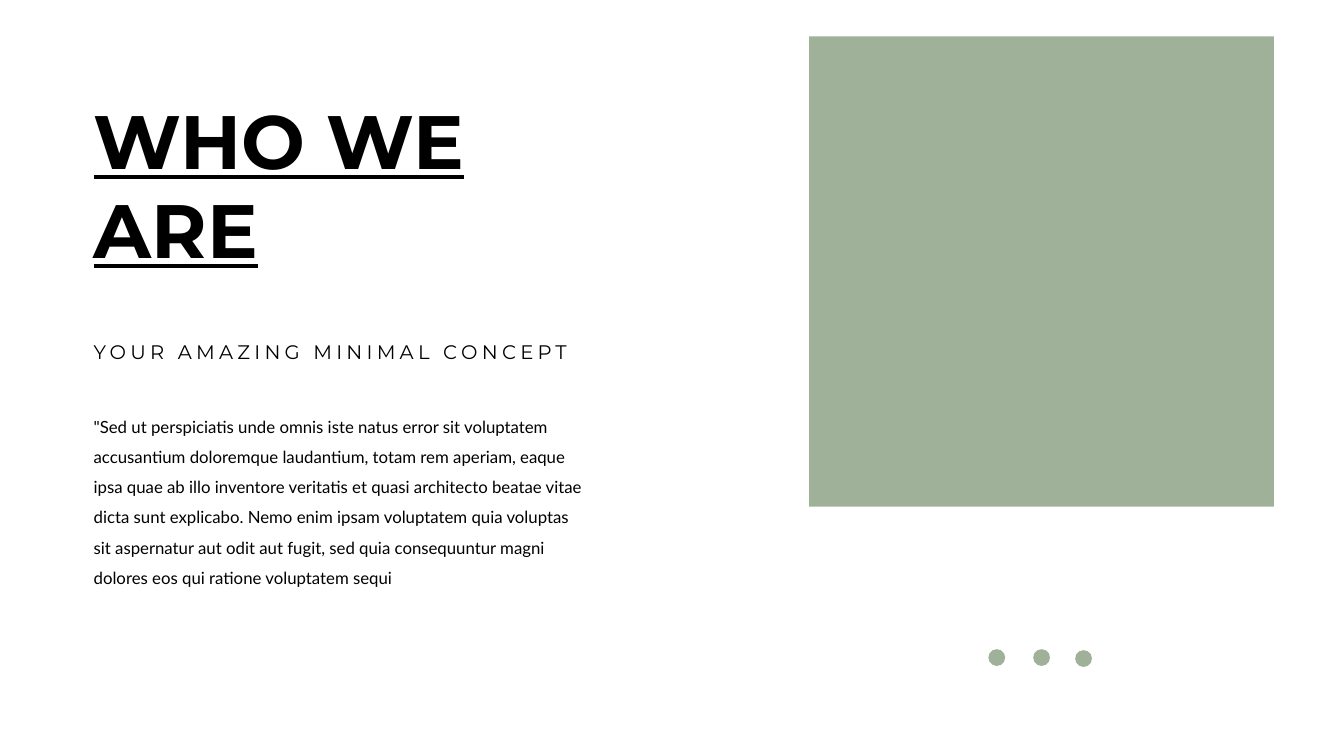
from dataclasses import dataclass

from pptx import Presentation
from pptx.dml.color import RGBColor
from pptx.enum import shapes, text
from pptx.util import Pt


@dataclass(frozen=True)
class Theme:
    sage: RGBColor = RGBColor(0xA0, 0xB1, 0x9A)
    ink: RGBColor = RGBColor(0, 0, 0)
    heading_font: str = "Montserrat"
    body_font: str = "Lato"
    title_size: int = 54
    subtitle_size: int = 14
    body_size: int = 12


class SlideBuilder:
    def __init__(self, deck, theme):
        self.theme = theme
        self.page = deck.slides.add_slide(deck.slide_layouts[5])

    def shape(self, kind, left, top, width, height):
        shape = self.page.shapes.add_shape(
            kind, Pt(left), Pt(top), Pt(width), Pt(height))
        shape.shadow.inherit = False
        shape.fill.solid()
        shape.fill.fore_color.rgb = self.theme.sage
        shape.line.fill.background()

    def span(self, para, words, font, size, bold=False, underline=False):
        span = para.add_run()
        span.text = words
        span.font.name = font
        span.font.size = Pt(size)
        span.font.bold = bold
        span.font.underline = underline
        span.font.color.rgb = self.theme.ink
        return span

    def title(self, lines, left, top, width, height):
        box = self.page.shapes.title
        box.left, box.top = Pt(left), Pt(top)
        box.width, box.height = Pt(width), Pt(height)
        frame = box.text_frame
        frame.word_wrap = True
        frame.auto_size = text.MSO_AUTO_SIZE.NONE
        frame.vertical_anchor = text.MSO_ANCHOR.MIDDLE
        para = frame.paragraphs[0]
        para.alignment = text.PP_ALIGN.LEFT
        para.line_spacing = 0.98
        for index, line in enumerate(lines):
            if index:
                para.add_line_break()
            self.span(para, line, self.theme.heading_font,
                      self.theme.title_size, bold=True, underline=True)

    def text(self, words, left, top, width, height, font, size, tracking=0):
        box = self.page.shapes.add_textbox(
            Pt(left), Pt(top), Pt(width), Pt(height))
        box.text_frame.word_wrap = True
        para = box.text_frame.paragraphs[0]
        para.line_spacing = 1.5
        span = self.span(para, words, font, size)
        if tracking:
            span.font._element.set("spc", str(tracking * 100))


def main():
    deck = Presentation()
    deck.slide_width, deck.slide_height = Pt(960), Pt(540)
    theme = Theme()
    slide = SlideBuilder(deck, theme)
    margin = 59.8

    slide.shape(shapes.MSO_SHAPE.RECTANGLE, 578, 26, 332, 336)
    slide.title(["WHO WE", "ARE"], margin, 63.4, 447, 141)
    slide.text(
        '"Sed ut perspiciatis unde omnis iste natus error sit voluptatem '
        "accusantium doloremque laudantium, totam rem aperiam, eaque ipsa "
        "quae ab illo inventore veritatis et quasi architecto beatae vitae "
        "dicta sunt explicabo. Nemo enim ipsam voluptatem quia voluptas sit "
        "aspernatur aut odit aut fugit, sed quia consequuntur magni dolores "
        "eos qui ratione voluptatem sequi",
        margin, 286.6, 365, 172, theme.body_font, theme.body_size)
    slide.text("YOUR AMAZING MINIMAL CONCEPT", margin, 231, 372, 32.4,
               theme.heading_font, theme.subtitle_size, tracking=3)
    for left, top in ((706, 463.7), (738, 463.7), (768, 464.4)):
        slide.shape(shapes.MSO_SHAPE.OVAL, left, top, 12, 12)

    deck.save("out.pptx")


if __name__ == "__main__":
    main()
